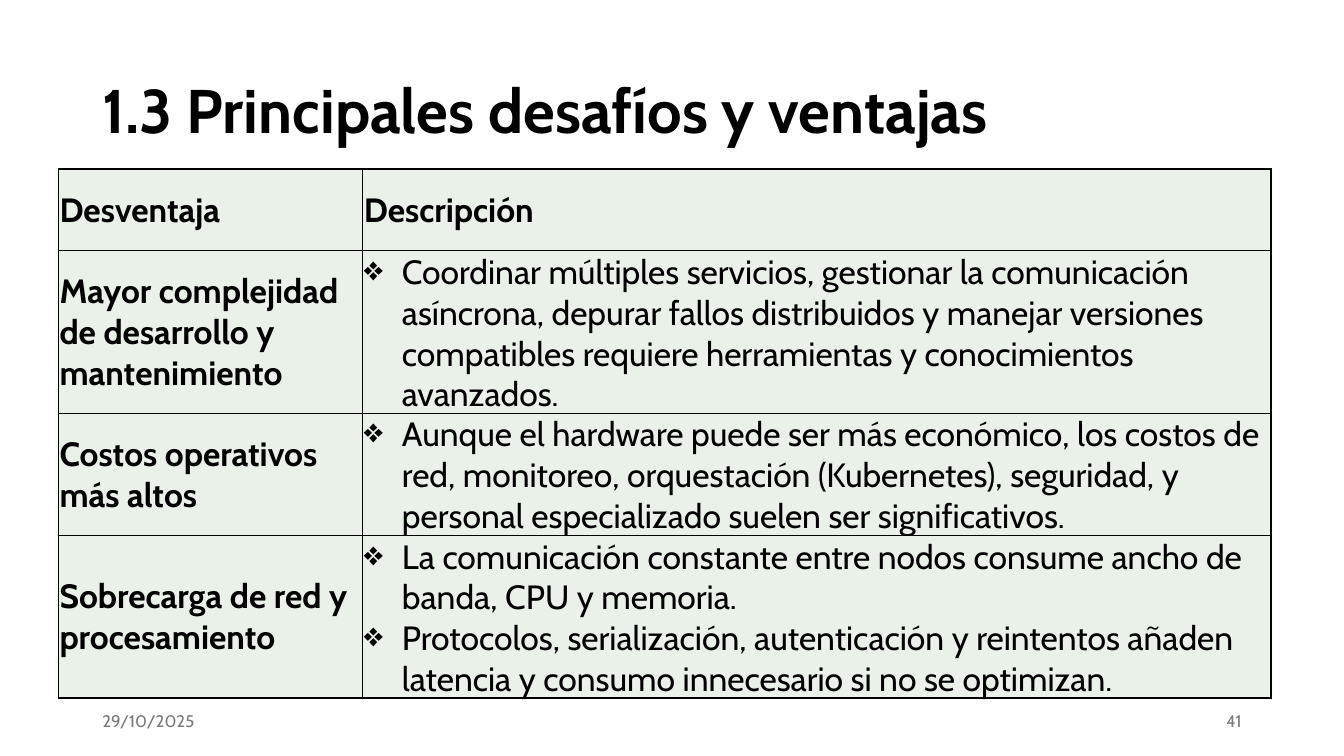
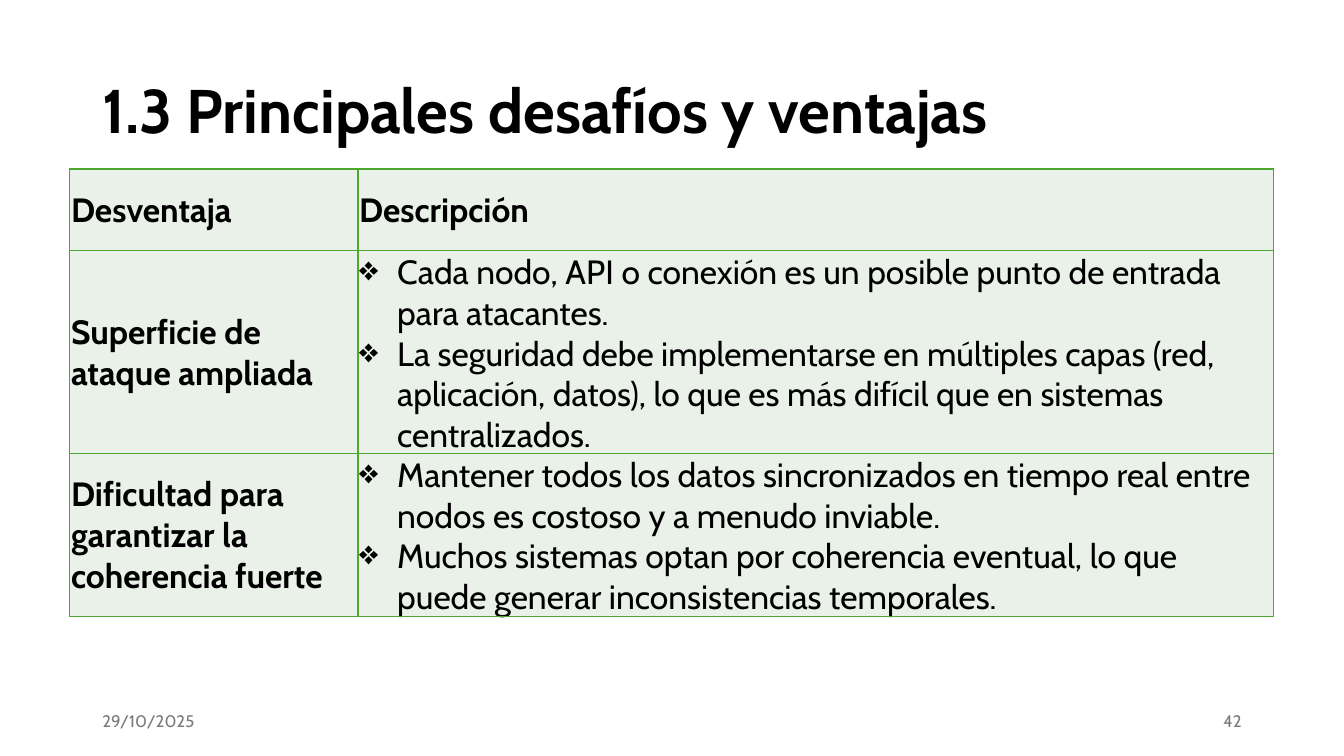
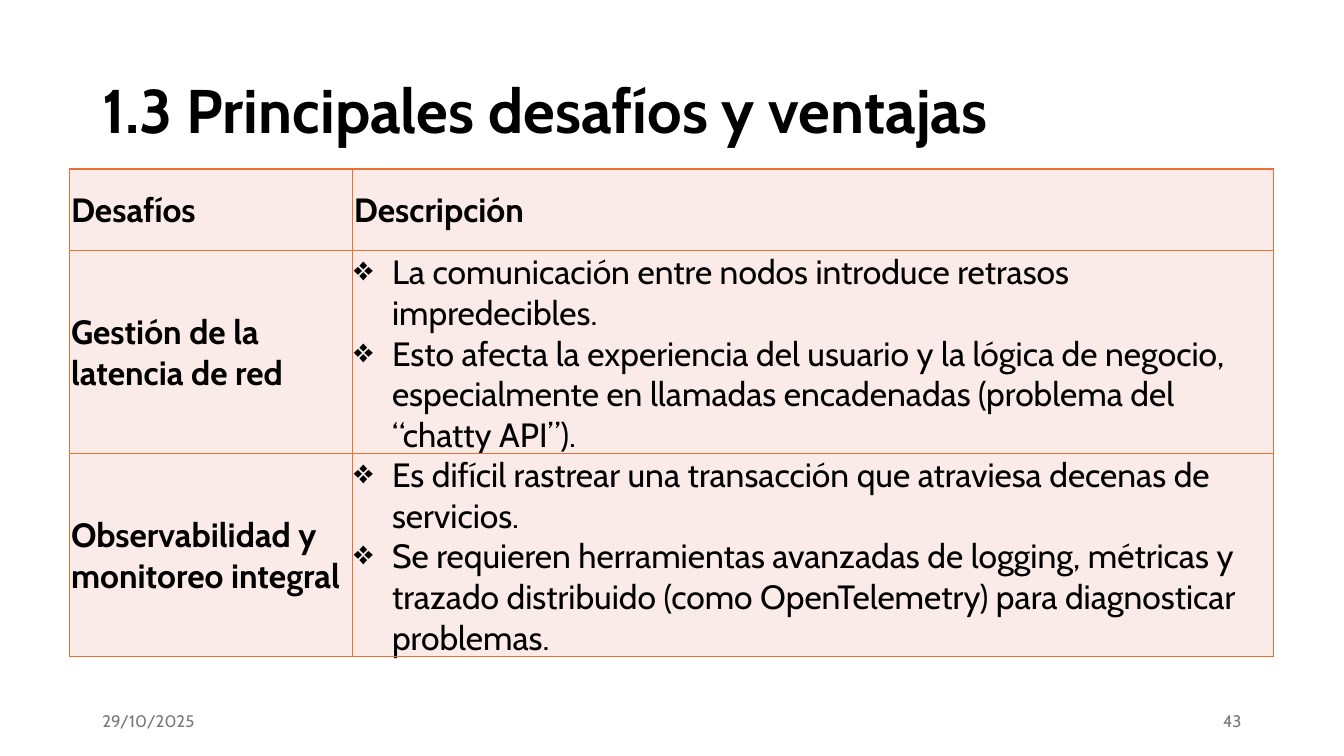
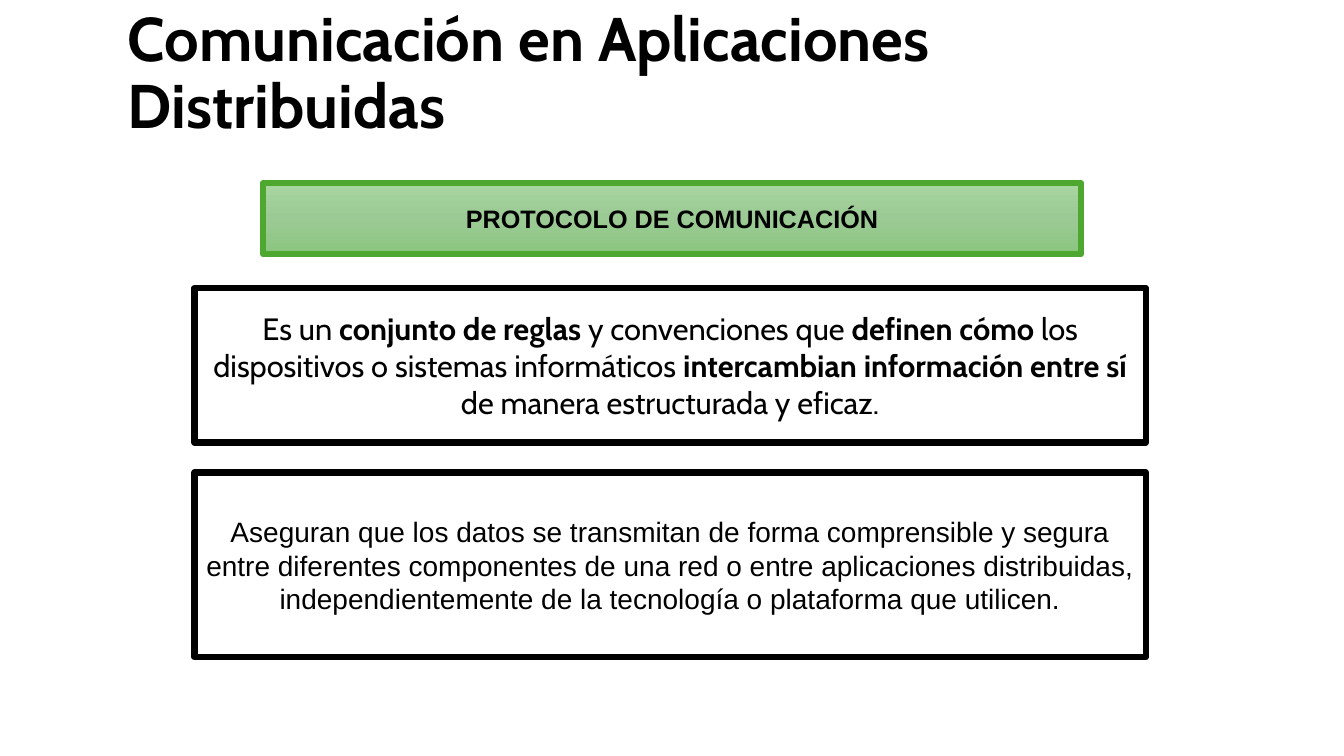
import copy

import lxml.etree
import pptx
import pptx.dml.color
import pptx.enum.shapes
import pptx.enum.text
import pptx.oxml.ns
import pptx.util

Cm = pptx.util.Cm
RGBColor = pptx.dml.color.RGBColor
ALIGN = pptx.enum.text.PP_ALIGN
MIDDLE = pptx.enum.text.MSO_ANCHOR.MIDDLE
qn = pptx.oxml.ns.qn

# Shared style
BLACK = RGBColor(0x00, 0x00, 0x00)
WHITE = RGBColor(0xFF, 0xFF, 0xFF)
GREY = RGBColor(0x79, 0x79, 0x79)
GREEN = RGBColor(0x4E, 0xA7, 0x2E)
ORANGE = RGBColor(0xE9, 0x71, 0x32)
PALE_GREEN = RGBColor(0xE9, 0xF1, 0xE8)
PALE_ORANGE = RGBColor(0xFB, 0xEB, 0xE8)
GREEN_GRADIENT = [
    (0, RGBColor(0xA8, 0xD5, 0xA0)),
    (0.5, RGBColor(0x9C, 0xCA, 0x94)),
    (1, RGBColor(0x8A, 0xC6, 0x80)),
]
TITLE_AREA = (2.33, 1.01, 29.21, 3.68)
FOOTER_TOP, FOOTER_WIDTH, FOOTER_HEIGHT = 17.66, 7.62, 1.01
TABLE_TOP, ROW_HEIGHT = 4.26, 2.06
BULLET_INDENT = Cm(0.96)

# Content: ** switches bold on and off
DATE = "29/10/2025"
FIRST_NUMBER = 41
TABLE_TITLE = "1.3 Principales desafíos y ventajas"
TABLE_PAGES = [
    {
        "left": 1.47, "columns": (7.67, 22.89), "line": BLACK, "fill": PALE_GREEN,
        "header": "Desventaja",
        "rows": [
            ("Mayor complejidad de desarrollo y mantenimiento", [
                "Coordinar múltiples servicios, gestionar la comunicación asíncrona, "
                "depurar fallos distribuidos y manejar versiones compatibles requiere "
                "herramientas y conocimientos avanzados."]),
            ("Costos operativos más altos", [
                "Aunque el hardware puede ser más económico, los costos de red, "
                "monitoreo, orquestación (Kubernetes), seguridad, y personal "
                "especializado suelen ser significativos."]),
            ("Sobrecarga de red y procesamiento", [
                "La comunicación constante entre nodos consume ancho de banda, "
                "CPU y memoria.",
                "Protocolos, serialización, autenticación y reintentos añaden latencia "
                "y consumo innecesario si no se optimizan."]),
        ],
    },
    {
        "left": 1.76, "columns": (7.26, 23.07), "line": GREEN, "fill": PALE_GREEN,
        "header": "Desventaja",
        "rows": [
            ("Superficie de ataque ampliada", [
                "Cada nodo, API o conexión es un posible punto de entrada para "
                "atacantes.",
                "La seguridad debe implementarse en múltiples capas (red, aplicación, "
                "datos), lo que es más difícil que en sistemas centralizados."]),
            ("Dificultad para garantizar la coherencia fuerte", [
                "Mantener todos los datos sincronizados en tiempo real entre nodos es "
                "costoso y a menudo inviable.",
                "Muchos sistemas optan por coherencia eventual, lo que puede generar "
                "inconsistencias temporales."]),
        ],
    },
    {
        "left": 1.76, "columns": (7.13, 23.2), "line": ORANGE, "fill": PALE_ORANGE,
        "header": "Desafíos",
        "rows": [
            ("Gestión de la latencia de red", [
                "La comunicación entre nodos introduce retrasos impredecibles.",
                "Esto afecta la experiencia del usuario y la lógica de negocio, "
                "especialmente en llamadas encadenadas (problema del “chatty API”)."]),
            ("Observabilidad y monitoreo integral", [
                "Es difícil rastrear una transacción que atraviesa decenas de "
                "servicios.",
                "Se requieren herramientas avanzadas de logging, métricas y trazado "
                "distribuido (como OpenTelemetry) para diagnosticar problemas."]),
        ],
    },
]
PROTOCOL_TITLE = "Comunicación en Aplicaciones Distribuidas"
PROTOCOL_TITLE_AREA = (2.97, 0.05, 23.98, 3.68)
PROTOCOL_BOXES = [
    {"area": (6.63, 4.62, 20.62, 1.78), "line": GREEN, "gradient": GREEN_GRADIENT,
     "text": "**PROTOCOLO DE COMUNICACIÓN**", "size": 18, "font": "Arial"},
    {"area": (4.9, 7.26, 23.98, 3.89), "line": BLACK, "gradient": None,
     "text": "Es un **conjunto de reglas** y convenciones que **definen cómo** los "
             "dispositivos o sistemas informáticos **intercambian información entre "
             "sí **de manera estructurada y eficaz.", "size": 22, "font": "Cabin"},
    {"area": (4.9, 11.91, 23.98, 4.65), "line": BLACK, "gradient": None,
     "text": "Aseguran que los datos se transmitan de forma comprensible y segura "
             "entre diferentes componentes de una red o entre aplicaciones "
             "distribuidas, independientemente de la tecnología o plataforma que "
             "utilicen.", "size": 20, "font": "Arial"},
]


def write(frame, texts, size, font="Cabin", color=BLACK, bold=False,
          align=ALIGN.LEFT, bullet=None, spacing=None):
    """Fill a text frame with one paragraph per text."""
    frame.word_wrap = True
    for index, text in enumerate(texts):
        para = frame.add_paragraph() if index else frame.paragraphs[0]
        para.alignment = align
        if spacing:
            para.line_spacing = spacing
        if bullet:
            props = para._p.get_or_add_pPr()
            props.set("marL", str(BULLET_INDENT))
            props.set("indent", str(-BULLET_INDENT))
            lxml.etree.SubElement(props, qn("a:buChar"), char=bullet)
        for position, part in enumerate(text.split("**")):
            if not part:
                continue
            span = para.add_run()
            span.text = part
            span.font.name = font
            span.font.size = pptx.util.Pt(size)
            span.font.bold = bold or position % 2 == 1
            span.font.color.rgb = color


def place(shape, area):
    shape.left, shape.top, shape.width, shape.height = map(Cm, area)


def add_page(deck, layout, title):
    page = deck.slides.add_slide(layout)
    frame = page.shapes.title.text_frame
    frame.auto_size = pptx.enum.text.MSO_AUTO_SIZE.NONE
    frame.vertical_anchor = MIDDLE
    write(frame, [title], 44, bold=True, spacing=0.9)
    return page


def add_footer(page, number):
    right = TITLE_AREA[0] + TITLE_AREA[2] - FOOTER_WIDTH
    for left, text, align in ((TITLE_AREA[0], DATE, ALIGN.LEFT),
                              (right, str(number), ALIGN.RIGHT)):
        area = (left, FOOTER_TOP, FOOTER_WIDTH, FOOTER_HEIGHT)
        box = page.shapes.add_textbox(*map(Cm, area))
        box.text_frame.vertical_anchor = MIDDLE
        write(box.text_frame, [text], 12, color=GREY, align=align)


def format_cell(cell, fill, line):
    cell.vertical_anchor = MIDDLE
    cell.margin_left = cell.margin_right = cell.margin_top = Cm(0.03)
    cell.margin_bottom = 0
    cell.fill.solid()
    cell.fill.fore_color.rgb = fill
    props = cell._tc.get_or_add_tcPr()
    for index, side in enumerate(("a:lnL", "a:lnR", "a:lnT", "a:lnB")):
        border = lxml.etree.Element(qn(side), w=str(pptx.util.Pt(1)))
        solid = lxml.etree.SubElement(border, qn("a:solidFill"))
        lxml.etree.SubElement(solid, qn("a:srgbClr"), val=str(line))
        props.insert(index, border)


def add_comparison(page, data):
    rows = [(data["header"], None)] + data["rows"]
    area = (data["left"], TABLE_TOP, sum(data["columns"]), ROW_HEIGHT * len(rows))
    table = page.shapes.add_table(len(rows), 2, *map(Cm, area)).table
    table.first_row = table.horz_banding = False
    for column, width in zip(table.columns, data["columns"]):
        column.width = Cm(width)
    for row_index, (label, points) in enumerate(rows):
        table.rows[row_index].height = Cm(ROW_HEIGHT)
        name, description = table.rows[row_index].cells
        for cell in (name, description):
            format_cell(cell, data["fill"], data["line"])
        write(name.text_frame, [label], 24, bold=True)
        if points:
            write(description.text_frame, points, 24, bullet="❖")
        else:
            write(description.text_frame, ["Descripción"], 24, bold=True)


def fill_gradient(shape, stops):
    shape.fill.gradient()
    shape.fill.gradient_angle = 270
    stop_list = shape._element.spPr.find(".//" + qn("a:gsLst"))
    stop_list.insert(1, copy.deepcopy(stop_list[0]))
    for stop, (position, color) in zip(shape.fill.gradient_stops, stops):
        stop.position = position
        stop.color.rgb = color


def add_panel(page, data):
    panel = page.shapes.add_shape(pptx.enum.shapes.MSO_SHAPE.RECTANGLE,
                                  *map(Cm, data["area"]))
    panel.shadow.inherit = False
    if data["gradient"]:
        fill_gradient(panel, data["gradient"])
    else:
        panel.fill.solid()
        panel.fill.fore_color.rgb = WHITE
    panel.line.color.rgb = data["line"]
    panel.line.width = pptx.util.Pt(4.5)
    panel.text_frame.vertical_anchor = MIDDLE
    write(panel.text_frame, [data["text"]], data["size"], font=data["font"],
          align=ALIGN.CENTER)


def main():
    deck = pptx.Presentation()
    deck.slide_width, deck.slide_height = Cm(33.87), Cm(19.05)
    layout = deck.slide_layouts.get_by_name("Title Only")
    place(layout.placeholders[0], TITLE_AREA)

    # Comparison tables
    for number, data in enumerate(TABLE_PAGES, FIRST_NUMBER):
        page = add_page(deck, layout, TABLE_TITLE)
        add_footer(page, number)
        add_comparison(page, data)

    # Communication protocol
    page = add_page(deck, layout, PROTOCOL_TITLE)
    place(page.shapes.title, PROTOCOL_TITLE_AREA)
    for data in PROTOCOL_BOXES:
        add_panel(page, data)

    deck.save("out.pptx")


if __name__ == "__main__":
    main()
